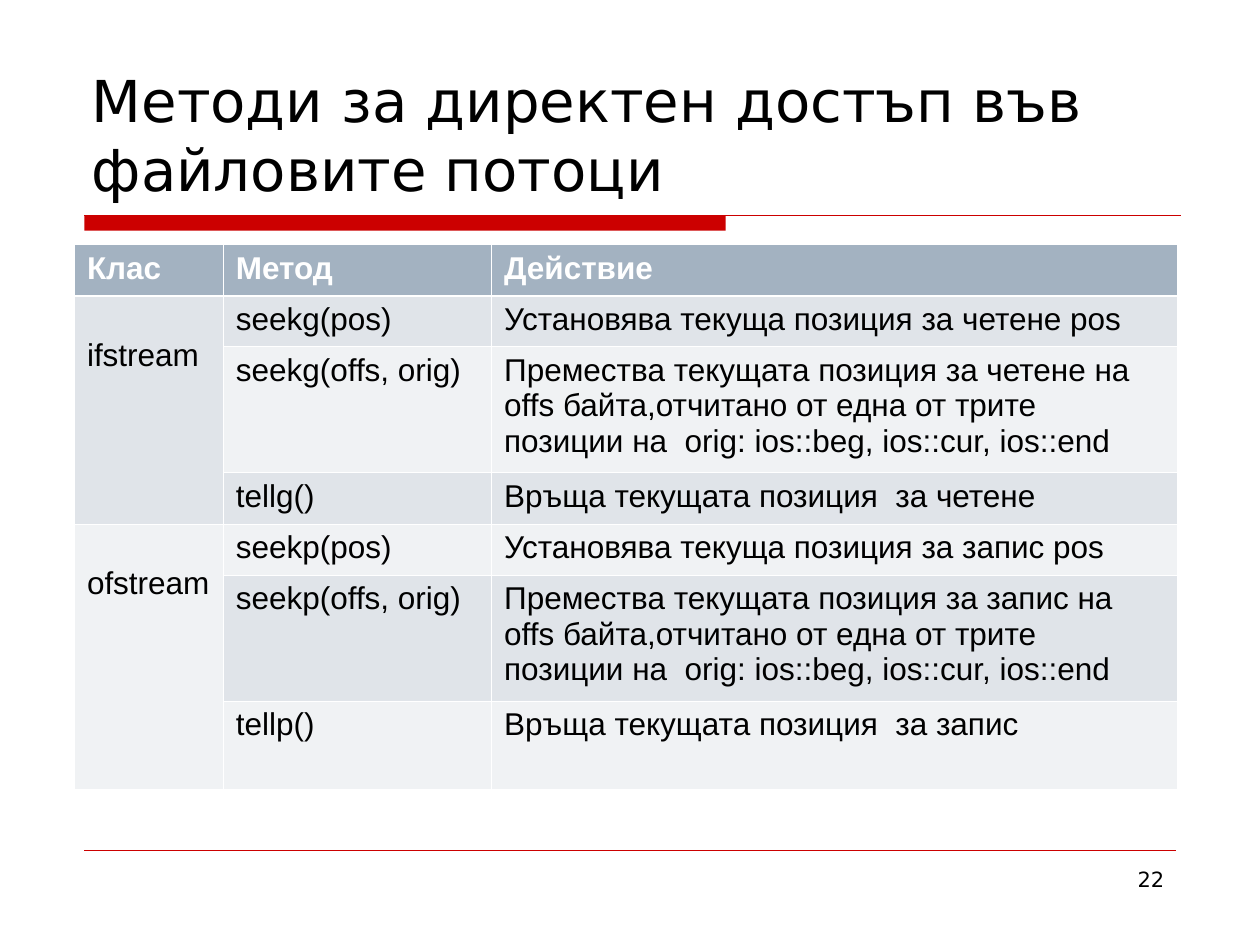
from lxml import etree
from pptx import Presentation, util as u
from pptx.dml import color as c
from pptx.enum import shapes as s, text as t
from pptx.oxml import ns

HUES = {"red": "CC0000", "black": "000000", "white": "FFFFFF",
        "head": "A3B2C1", "dark": "E0E4E9", "light": "F0F2F4"}
SANS = "DejaVu Sans"
COLS = [3, 5.41, 13.82]
ROWS = [1.03, 1.03, 2.54, 1.03, 1.03, 2.54, 1.78]
HEAD = ["Клас", "Метод", "Действие"]
GROUPS = [("ifstream", "g", "четене"), ("ofstream", "p", "запис")]


def hue(name):
    return c.RGBColor.from_string(HUES[name])


def cm(*vals):
    return [u.Cm(v) for v in vals]


def write(frame, words, size, font, tint="black", bold=False, align=t.PP_ALIGN.LEFT):
    para = frame.paragraphs[0]
    para.alignment = align
    run = para.add_run()
    run.text = words
    look = {"size": u.Pt(size), "name": font, "bold": bold}
    for key, val in look.items():
        setattr(run.font, key, val)
    run.font.color.rgb = hue(tint)


def label(slide, box, words, size, anchor, align):
    frame = slide.shapes.add_textbox(*cm(*box)).text_frame
    look = {"word_wrap": True, "vertical_anchor": anchor,
            "margin_left": u.Cm(0.25), "margin_right": u.Cm(0.25)}
    for key, val in look.items():
        setattr(frame, key, val)
    write(frame, words, size, SANS, align=align)


def rule(slide, left, top, width, weight):
    line = slide.shapes.add_connector(
        s.MSO_CONNECTOR.STRAIGHT, *cm(left, top, left + width, top))
    line.line.color.rgb = hue("red")
    line.line.width = u.Pt(weight)
    etree.SubElement(line._element.spPr, ns.qn("a:effectLst"))


def banner(slide, left, top, width, height):
    bar = slide.shapes.add_shape(
        s.MSO_SHAPE.RECTANGLE, *cm(left, top, 12.93, height))
    bar.shadow.inherit = False
    bar.fill.solid()
    bar.fill.fore_color.rgb = hue("red")
    bar.line.fill.background()
    rule(slide, left, top, width, 0.75)


def edge(cell, side, weight):
    props = cell._tc.get_or_add_tcPr()
    line = etree.SubElement(props, ns.qn("a:ln" + side), w=str(u.Pt(weight)))
    fill = etree.SubElement(line, ns.qn("a:solidFill"))
    etree.SubElement(fill, ns.qn("a:srgbClr"), val=HUES["white"])


def paint(cell, row, tint):
    thick = {0: "B", 1: "T"}.get(row)
    for side in "LRTB":
        edge(cell, side, 1.47 if side == thick else 0.45)
    cell.fill.solid()
    cell.fill.fore_color.rgb = hue(tint)


def lines():
    yield HEAD
    for kind, end, act in GROUPS:
        yield kind, f"seek{end}(pos)", f"Установява текуща позиция за {act} pos"
        yield "", f"seek{end}(offs, orig)", (
            f"Премества текущата позиция за {act} на offs байта,отчитано от "
            "една от трите позиции на  orig: ios::beg, ios::cur, ios::end")
        yield "", f"tell{end}()", f"Връща текущата позиция  за {act}"


def grid(slide, left, top):
    box = cm(left, top, sum(COLS), sum(ROWS))
    table = slide.shapes.add_table(len(ROWS), len(COLS), *box).table
    for col, width in zip(table.columns, COLS):
        col.width = u.Cm(width)
    for row, height in zip(table.rows, ROWS):
        row.height = u.Cm(height)
    for i, words in enumerate(lines()):
        tint = "head" if i == 0 else "dark" if i % 2 else "light"
        for j, word in enumerate(words):
            cell = table.cell(i, j)
            paint(cell, i, tint)
            if word:
                write(cell.text_frame, word, 18, "Arial",
                      "black" if i else "white", i == 0)
    for i in (1, 4):
        cell = table.cell(i, 0)
        cell.merge(table.cell(i + 2, 0))
        cell.margin_top = u.Cm(0.85)


def main():
    deck = Presentation()
    deck.slide_width, deck.slide_height = cm(25.4, 19.05)
    slide = deck.slides.add_slide(deck.slide_layouts[6])
    banner(slide, 1.7, 4.35, 22.1, 0.3)
    rule(slide, 1.7, 17.15, 22, 0.25)
    label(slide, (1.6, 0.84, 22.22, 3.38),
          "Meтоди за директен достъп във файловите потоци",
          33, t.MSO_ANCHOR.BOTTOM, t.PP_ALIGN.LEFT)
    grid(slide, 1.5, 4.93)
    label(slide, (18.21, 17.35, 5.51, 1.32), "22",
          12, t.MSO_ANCHOR.TOP, t.PP_ALIGN.RIGHT)
    deck.save("out.pptx")


if __name__ == "__main__":
    main()
